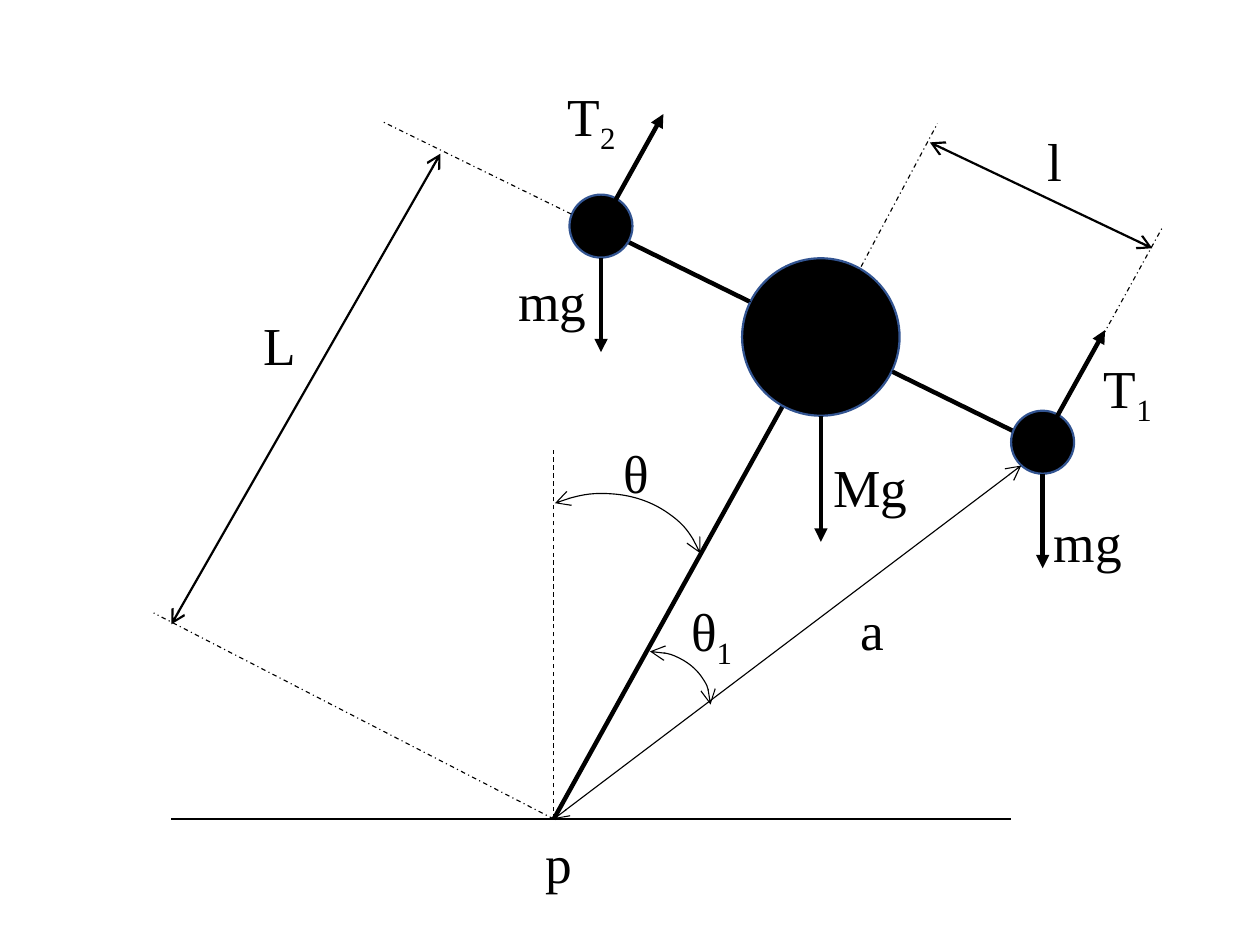
"""Free-body diagram of a two-rotor inverted pendulum."""
from typing import NamedTuple

from lxml import etree
from pptx import Presentation
from pptx import util as u
from pptx.dml.color import RGBColor
from pptx.enum import dml, shapes, text
from pptx.oxml.ns import qn

COLUMNS, ROWS = 20, 15
INK, RIM = "000000", "325491"
FONT = "Times New Roman"
THIN, MEDIUM, HEAVY = 0.5, 1, 2
DASH, DASH_DOT = dml.MSO_LINE.DASH, dml.MSO_LINE.DASH_DOT

deck = Presentation()
deck.slide_width, deck.slide_height = u.Cm(20), u.Cm(15)
slide = deck.slides.add_slide(deck.slide_layouts[6])


class Point(NamedTuple):
    """A place on the grid, in columns and rows."""
    x: float
    y: float

    def shifted(self, dx: float, dy: float) -> "Point":
        """Return the point moved by dx columns and dy rows."""
        return Point(self.x + dx, self.y + dy)


class Mass(NamedTuple):
    """A round mass with the length of its weight arrow."""
    centre: Point
    radius: float
    weight: float


class Line(NamedTuple):
    """A straight line with its stroke and arrowheads."""
    start: Point
    end: Point
    width: float = THIN
    dash: dml.MSO_LINE | None = None
    head: str = ""
    tail: str = ""


class Arc(NamedTuple):
    """A quarter arc that marks an angle."""
    corner: Point
    width: float
    height: float
    rotation: float


class Label(NamedTuple):
    """A symbol with an optional subscript."""
    corner: Point
    symbol: str
    subscript: str = ""
    width: float = 3.35


def col(count: float) -> u.Emu:
    """Length of a number of grid columns."""
    return u.Emu(round(deck.slide_width * count / COLUMNS))


def row(count: float) -> u.Emu:
    """Length of a number of grid rows."""
    return u.Emu(round(deck.slide_height * count / ROWS))


def colour(code: str) -> RGBColor:
    """Turn a hex string into a colour."""
    return RGBColor.from_string(code)


def stroke(drawn, width: float, ink: str = INK, dash=None, head: str = "", tail: str = "") -> None:
    """Format an outline and add its arrowheads."""
    drawn.line.width = u.Pt(width)
    drawn.line.color.rgb = colour(ink)
    if dash is not None:
        drawn.line.dash_style = dash
    outline = drawn.element.spPr.find(qn("a:ln"))
    for tag, arrow in (("a:headEnd", head), ("a:tailEnd", tail)):
        if arrow:
            etree.SubElement(outline, qn(tag), type=arrow)


def draw_line(line: Line) -> None:
    """Draw a straight connector without a shadow."""
    connector = slide.shapes.add_connector(
        shapes.MSO_CONNECTOR.STRAIGHT,
        col(line.start.x), row(line.start.y), col(line.end.x), row(line.end.y))
    stroke(connector, line.width, dash=line.dash, head=line.head, tail=line.tail)
    etree.SubElement(connector.element.spPr, qn("a:effectLst"))


def draw_mass(mass: Mass) -> None:
    """Draw a filled circle around the centre of a mass."""
    left, top = mass.centre.shifted(-mass.radius, -mass.radius)
    size = 2 * mass.radius
    circle = slide.shapes.add_shape(
        shapes.MSO_SHAPE.OVAL, col(left), row(top), col(size), row(size))
    circle.shadow.inherit = False
    circle.fill.solid()
    circle.fill.fore_color.rgb = colour(INK)
    stroke(circle, MEDIUM, RIM)


def draw_arc(arc: Arc) -> None:
    """Draw an angle mark with an arrow at both ends."""
    mark = slide.shapes.add_shape(
        shapes.MSO_SHAPE.ARC, col(arc.corner.x), row(arc.corner.y),
        col(arc.width), row(arc.height))
    mark.rotation = arc.rotation
    mark.shadow.inherit = False
    mark.fill.background()
    stroke(mark, THIN, head="arrow", tail="arrow")


def write(paragraph, words: str, *, size: float = 24, ink: str = INK, baseline: int = 0) -> None:
    """Add a formatted run to a paragraph."""
    run = paragraph.add_run()
    run.text = words
    run.font.name, run.font.size = FONT, u.Pt(size)
    run.font.color.rgb = colour(ink)
    if baseline:
        run._r.get_or_add_rPr().set("baseline", str(baseline * 1000))


def draw_label(label: Label) -> None:
    """Place a symbol and its subscript in a text box."""
    box = slide.shapes.add_textbox(
        col(label.corner.x), row(label.corner.y), col(label.width), row(1.27))
    frame = box.text_frame
    frame.word_wrap = True
    frame.auto_size = text.MSO_AUTO_SIZE.SHAPE_TO_FIT_TEXT
    write(frame.paragraphs[0], label.symbol)
    if label.subscript:
        write(frame.paragraphs[0], label.subscript, baseline=-25)


def weight_arrow(mass: Mass) -> Line:
    """Arrow straight down from the lower edge of a mass."""
    edge = mass.centre.shifted(0, mass.radius)
    return Line(edge, edge.shifted(0, mass.weight), HEAVY, tail="triangle")


def thrust_arrow(rotor: Mass) -> Line:
    """Arrow from a rotor along the direction of its thrust."""
    return Line(rotor.centre, rotor.centre.shifted(0.99, -1.78), HEAVY, tail="triangle")


def measure(start: Point, end: Point, width: float) -> Line:
    """Dimension line with open arrows at both ends."""
    return Line(start, end, width, head="arrow", tail="arrow")


pivot = Point(8.79, 13)
body = Mass(Point(13.03, 5.35), 1.25, 2)
left_rotor = Mass(Point(9.54, 3.59), 0.5, 1.5)
right_rotor = Mass(Point(16.55, 7.02), 0.5, 1.5)
rotors = (left_rotor, right_rotor)
masses = (body, *rotors)

frame_lines = (
    Line(Point(2.72, pivot.y), Point(16.05, pivot.y)),
    Line(pivot, body.centre, HEAVY),
    Line(Point(9.4, 3.56), Point(16.69, 7.14), HEAVY),
)
guide_lines = (
    Line(pivot, Point(pivot.x, 7.14), dash=DASH),
    Line(Point(15.47, 6.53), Point(6.07, 1.93), dash=DASH_DOT),
    Line(pivot, Point(2.44, 9.73), dash=DASH_DOT),
    Line(Point(13.11, 5.28), Point(14.88, 1.96), dash=DASH_DOT),
    Line(Point(16.84, 6.53), Point(18.44, 3.63), dash=DASH_DOT),
)
dimensions = (
    measure(pivot, Point(16.21, 7.39), THIN),
    measure(Point(6.99, 2.44), Point(2.72, 9.91), MEDIUM),
    measure(Point(14.76, 2.26), Point(18.29, 3.94), MEDIUM),
)
angles = (
    Arc(Point(7.57, 7.87), 3.68, 3.2, 338),
    Arc(Point(9.35, 10.34), 1.93, 1.68, 0.2),
)
labels = (
    Label(Point(3.94, 4.83), "L"),
    Label(Point(13.41, 9.35), "a", width=0.86),
    Label(Point(16.38, 1.91), "l", width=0.86),
    Label(Point(9.65, 6.86), "θ", width=0.86),
    Label(Point(10.72, 9.37), "θ", "1", width=1.47),
    Label(Point(12.98, 7.09), "Mg"),
    Label(Point(16.48, 7.95), "mg"),
    Label(Point(7.98, 4.14), "mg"),
    Label(Point(17.27, 5.51), "T", "1", width=2.7),
    Label(Point(8.76, 1.19), "T", "2"),
    Label(Point(8.41, 13.06), "p"),
)

for rod in frame_lines:
    draw_line(rod)
for mass in masses:
    draw_mass(mass)
forces = [*map(thrust_arrow, rotors), *map(weight_arrow, masses)]
for line in (*forces, *guide_lines, *dimensions):
    draw_line(line)
for angle in angles:
    draw_arc(angle)
for label in labels:
    draw_label(label)

deck.save("out.pptx")
